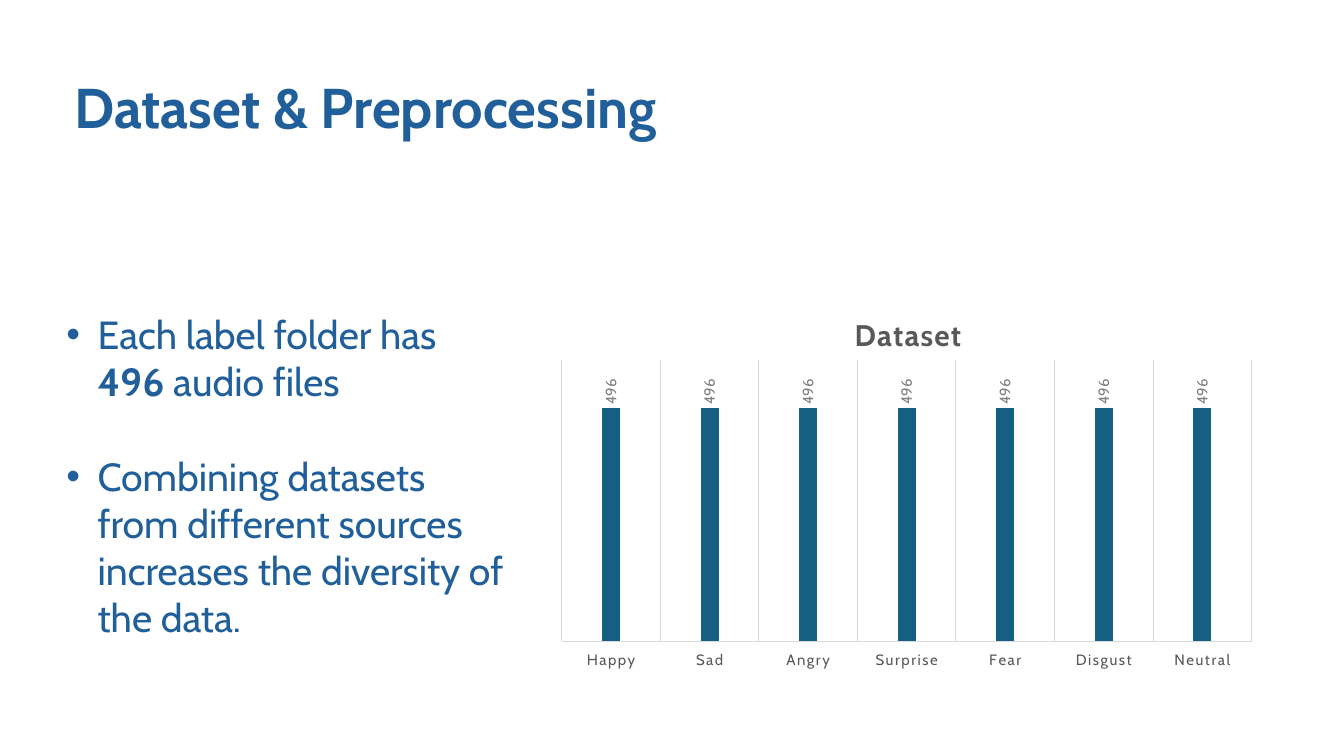
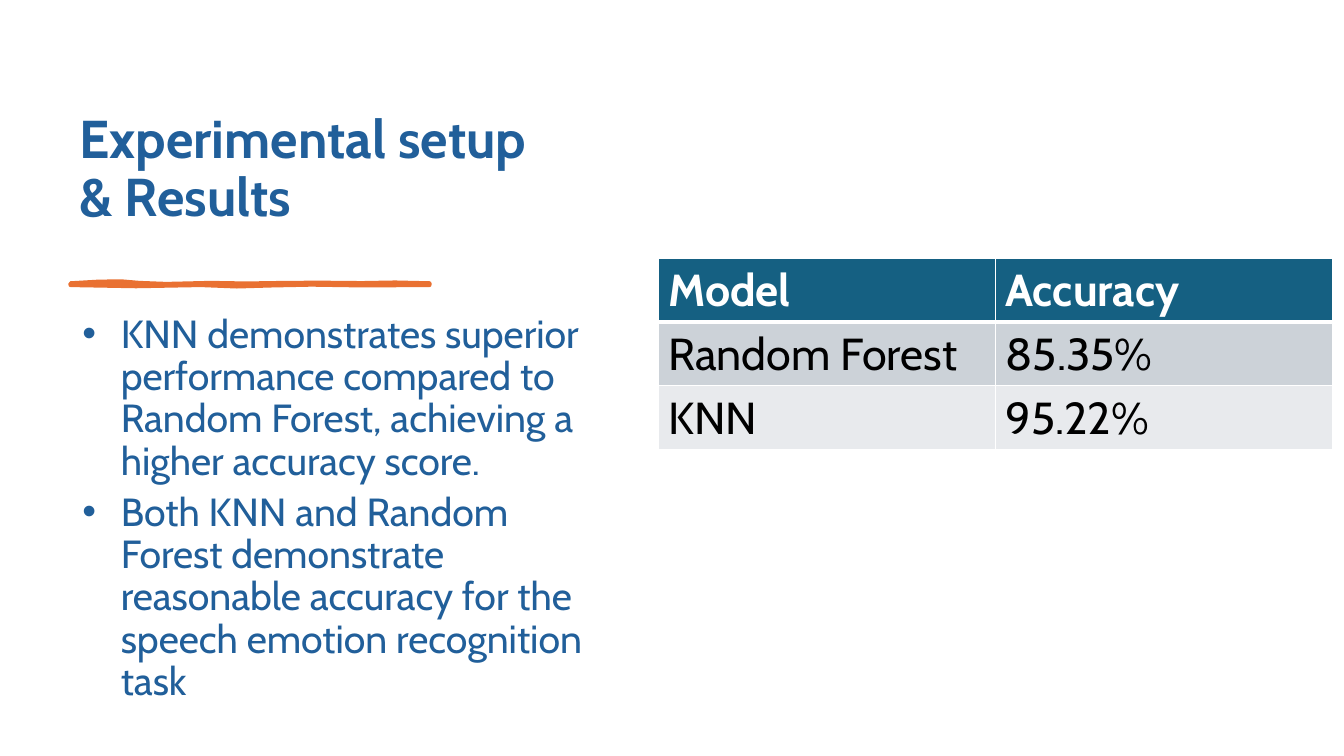
"""Build two slides on a speech emotion dataset and its model results."""
from lxml.etree import SubElement
from pptx import Presentation
from pptx.chart.data import CategoryChartData
from pptx.dml.color import RGBColor
from pptx.enum.chart import XL_CHART_TYPE, XL_LABEL_POSITION, XL_TICK_LABEL_POSITION, XL_TICK_MARK
from pptx.enum.text import MSO_ANCHOR, MSO_AUTO_SIZE
from pptx.oxml import parse_xml
from pptx.oxml.ns import nsdecls, qn
from pptx.util import Inches, Pt

WIDTH, HEIGHT = Inches(13.33), Inches(7.5)
FONT = "Cabin"
BLUE = RGBColor(0x21, 0x5F, 0x9A)
TEAL = RGBColor(0x15, 0x60, 0x82)
ORANGE = RGBColor(0xE9, 0x71, 0x32)
DARK_GRAY = RGBColor(0x59, 0x59, 0x59)
LABEL_GRAY = RGBColor(0x80, 0x80, 0x80)
GRID_GRAY = RGBColor(0xD9, 0xD9, 0xD9)
BAND_DARK = RGBColor(0xCC, 0xD2, 0xD8)
BAND_LIGHT = RGBColor(0xE8, 0xEA, 0xED)
WHITE = RGBColor(0xFF, 0xFF, 0xFF)
BLACK = RGBColor(0, 0, 0)

EMOTIONS = ["Happy", "Sad", "Angry", "Surprise", "Fear", "Disgust", "Neutral"]
FILES_PER_EMOTION = 496
RESULTS = [("Model", "Accuracy"), ("Random Forest", "85.35%"), ("KNN", "95.22%")]
TOP_EDGE = [(0, 16), (270, 0), (500, -4), (680, 12), (950, 22), (1390, 12),
            (1740, 18), (2140, 12), (2480, 10), (2890, 14), (3220, 8), (3560, 16)]
BOTTOM_EDGE = [(3560, 32), (3170, 34), (2780, 34), (2390, 28), (2000, 36),
               (1650, 46), (1290, 32), (650, 44), (0, 32)]


def percent(left, top, width, height):
    """Turn percentages of the slide's size into lengths."""
    return (int(WIDTH * left / 100), int(HEIGHT * top / 100),
            int(WIDTH * width / 100), int(HEIGHT * height / 100))


def apply(target, **values):
    """Set every given attribute on the target."""
    for key, value in values.items():
        setattr(target, key, value)


def style(font, size, color, bold=False):
    """Give a font the deck's typeface with a size, colour and weight."""
    apply(font, name=FONT, size=Pt(size), bold=bold)
    font.color.rgb = color


def add_text(slide, area, paragraphs, size, bold=False, hanging=None, spacing=None, **frame_format):
    """Add a text box; each paragraph is a list of (text, bold) runs or a string."""
    frame = slide.shapes.add_textbox(*percent(*area)).text_frame
    apply(frame, **{"word_wrap": True, **frame_format})
    for number, content in enumerate(paragraphs):
        paragraph = frame.add_paragraph() if number else frame.paragraphs[0]
        apply(paragraph, **(spacing or {}))
        if hanging:
            add_bullet(paragraph, hanging)
        for words, strong in [(content, bold)] if isinstance(content, str) else content:
            run = paragraph.add_run()
            run.text = words
            style(run.font, size, BLUE, strong)


def add_bullet(paragraph, hanging):
    """Put a round bullet in a hanging indent."""
    properties = paragraph._p.get_or_add_pPr()
    properties.set("marL", str(Inches(hanging)))
    properties.set("indent", str(-Inches(hanging)))
    SubElement(properties, qn("a:buFont")).set("typeface", "Arial")
    SubElement(properties, qn("a:buChar")).set("char", "•")


def add_title(slide, area, title, size, **options):
    """Add a bold slide title."""
    add_text(slide, area, [title], size, bold=True, **options)


def layout(**shares):
    """Make a manual chart layout from shares of the chart's size."""
    entries = "".join(f'<c:{key}Mode val="edge"/>' for key in ("x", "y"))
    entries += "".join(f'<c:{key} val="{share}"/>' for key, share in shares.items())
    target = '<c:layoutTarget val="inner"/>' if "w" in shares else ""
    return parse_xml(f'<c:layout {nsdecls("c")}><c:manualLayout>{target}{entries}'
                     "</c:manualLayout></c:layout>")


def place(parent, new_layout, index):
    """Replace the layout of a chart part."""
    for old in parent.findall(qn("c:layout")):
        parent.remove(old)
    parent.insert(index, new_layout)


def add_dataset_chart(slide, area):
    """Add the column chart of audio files per emotion."""
    data = CategoryChartData()
    data.categories = EMOTIONS
    data.add_series("Series 1", [FILES_PER_EMOTION] * len(EMOTIONS))
    chart = slide.shapes.add_chart(XL_CHART_TYPE.COLUMN_CLUSTERED, *percent(*area), data).chart
    style(chart.font, 10, BLACK)
    apply(chart, has_legend=False, has_title=True)

    heading = chart.chart_title.text_frame
    heading.text = "Dataset"
    style(heading.paragraphs[0].runs[0].font, 21.28, DARK_GRAY, True)
    chart.chart_title.include_in_layout = False

    columns = chart.plots[0]
    apply(columns, gap_width=444, overlap=-90, vary_by_categories=False, has_data_labels=True)
    fill = columns.series[0].format.fill
    fill.solid()
    fill.fore_color.rgb = TEAL
    counts = columns.data_labels
    apply(counts, show_value=True, position=XL_LABEL_POSITION.OUTSIDE_END)
    style(counts.font, 10.64, LABEL_GRAY)

    emotions = chart.category_axis
    apply(emotions, has_major_gridlines=True, major_tick_mark=XL_TICK_MARK.NONE,
          tick_label_position=XL_TICK_LABEL_POSITION.LOW)
    style(emotions.tick_labels.font, 10.64, DARK_GRAY)
    for line in (emotions.format.line, emotions.major_gridlines.format.line):
        line.color.rgb = GRID_GRAY
        line.width = Pt(0.75)
    apply(chart.value_axis, visible=False, has_major_gridlines=False,
          minimum_scale=0, maximum_scale=600)

    root = chart.element
    for query, attribute, value in [(".//c:title//a:rPr", "spc", "100"),
                                    (".//c:catAx//a:defRPr", "spc", "120"),
                                    (".//c:dLbls//a:bodyPr", "rot", "-5400000"),
                                    (".//c:dLbls//a:bodyPr", "vert", "horz")]:
        for node in root.xpath(query):
            node.set(attribute, value)
    place(root.xpath(".//c:title")[0], layout(x=0.42, y=0.06), 1)
    place(root.xpath(".//c:plotArea")[0], layout(x=0.02, y=0.19, w=0.96, h=0.73), 0)


def add_brush_rule(slide, left, top):
    """Add the hand-drawn rule; its edges are in thousandths of an inch."""
    builder = slide.shapes.build_freeform(*TOP_EDGE[0], scale=Inches(1) / 1000)
    builder.add_line_segments(TOP_EDGE[1:] + BOTTOM_EDGE, close=True)
    origin = percent(left, top, 0, 0)[:2]
    rule = builder.convert_to_shape(*origin)
    rule.shadow.inherit = False
    rule.fill.solid()
    rule.fill.fore_color.rgb = ORANGE
    rule.line.color.rgb = ORANGE
    rule.line.width = Pt(3)


def add_borders(cell, **widths):
    """Draw white cell borders of the given widths in points."""
    properties = cell._tc.get_or_add_tcPr()
    for side, width in widths.items():
        border = SubElement(properties, qn(f"a:ln{side}"), w=str(Pt(width)))
        SubElement(SubElement(border, qn("a:solidFill")), qn("a:srgbClr")).set("val", str(WHITE))


def add_results_table(slide, area):
    """Add the table of model accuracy."""
    table = slide.shapes.add_table(len(RESULTS), len(RESULTS[0]), *percent(*area)).table
    bands = [TEAL, BAND_DARK, BAND_LIGHT]
    for row, (values, band) in enumerate(zip(RESULTS, bands)):
        header = row == 0
        for column, value in enumerate(values):
            cell = table.cell(row, column)
            add_borders(cell, L=1, R=1, T=3 if row == 1 else 1, B=3 if header else 1)
            cell.fill.solid()
            cell.fill.fore_color.rgb = band
            cell.text = value
            style(cell.text_frame.paragraphs[0].runs[0].font, 32, WHITE if header else BLACK, header)


def build_dataset_slide(slide):
    """Fill the dataset slide."""
    add_title(slide, (4.8, 8.93, 48.6, 10.27), "Dataset & Preprocessing", 40,
              word_wrap=False, auto_size=MSO_AUTO_SIZE.SHAPE_TO_FIT_TEXT)
    add_dataset_chart(slide, (40.73, 37.87, 53.47, 51.07))
    add_text(slide, (4.2, 40.4, 34.2, 45.33), [
        [("Each label folder has ", False), ("496", True), (" audio files", False)],
        "Combining datasets from different sources increases the diversity of the data.",
    ], 28, hanging=0.31, spacing={"space_after": Pt(34)})


def build_results_slide(slide):
    """Fill the results slide."""
    spacing = {"line_spacing": 0.9, "space_after": Pt(6)}
    add_title(slide, (5.18, 9.33, 35.1, 21.47), "Experimental setup & Results", 38,
              spacing=spacing, vertical_anchor=MSO_ANCHOR.BOTTOM)
    add_brush_rule(slide, 5.25, 37.27)
    add_text(slide, (5.4, 40.93, 40.65, 49.73), [
        "KNN demonstrates superior performance compared to Random Forest, "
        "achieving a higher accuracy score.",
        "Both KNN and Random Forest demonstrate reasonable accuracy for the "
        "speech emotion recognition task",
    ], 28, hanging=0.38, spacing=spacing)
    add_results_table(slide, (48.98, 34.13, 50.17, 25.33))


def main():
    """Build and save the deck."""
    deck = Presentation()
    apply(deck, slide_width=WIDTH, slide_height=HEIGHT)
    for build in (build_dataset_slide, build_results_slide):
        build(deck.slides.add_slide(deck.slide_layouts[6]))
    deck.save("out.pptx")


if __name__ == "__main__":
    main()
